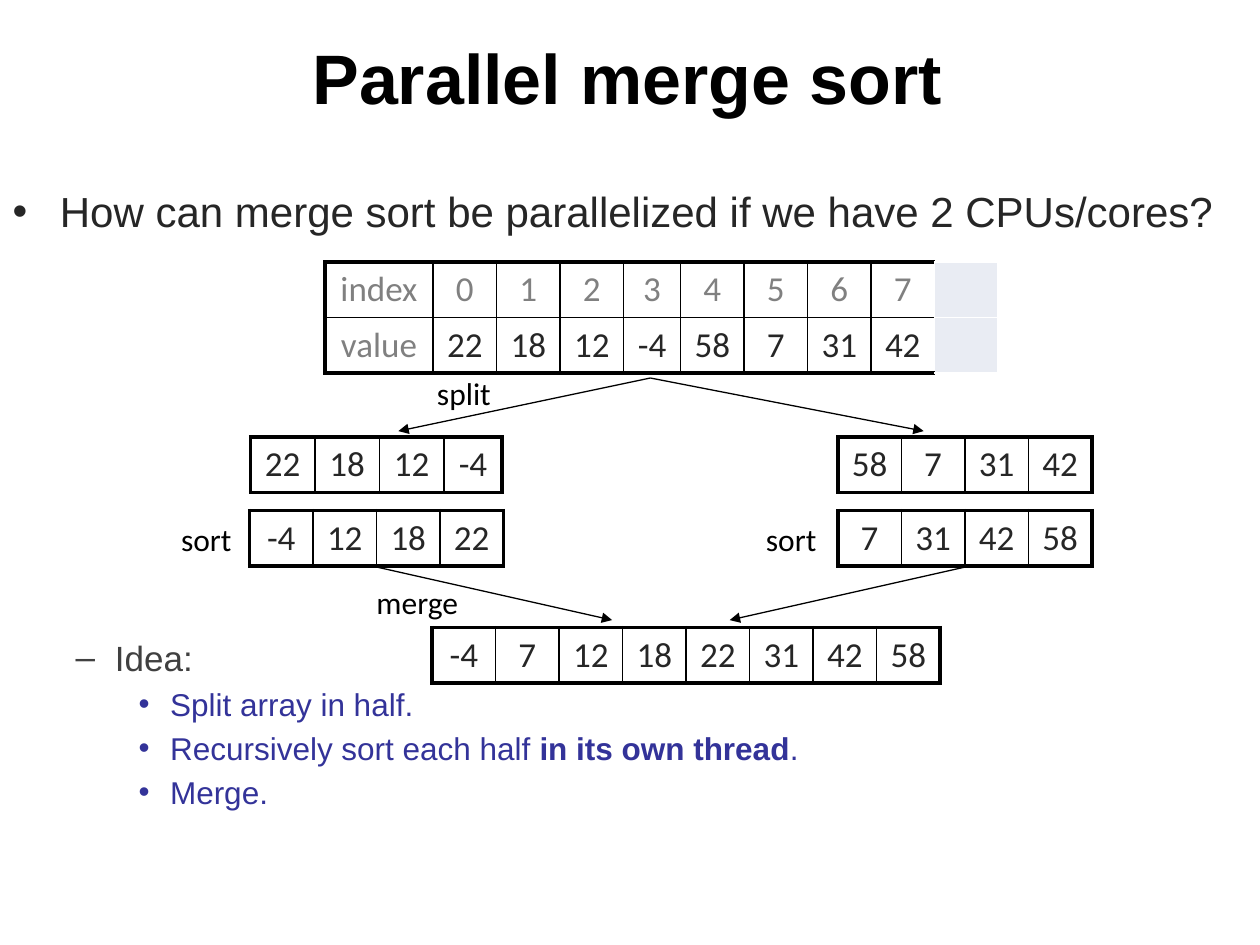
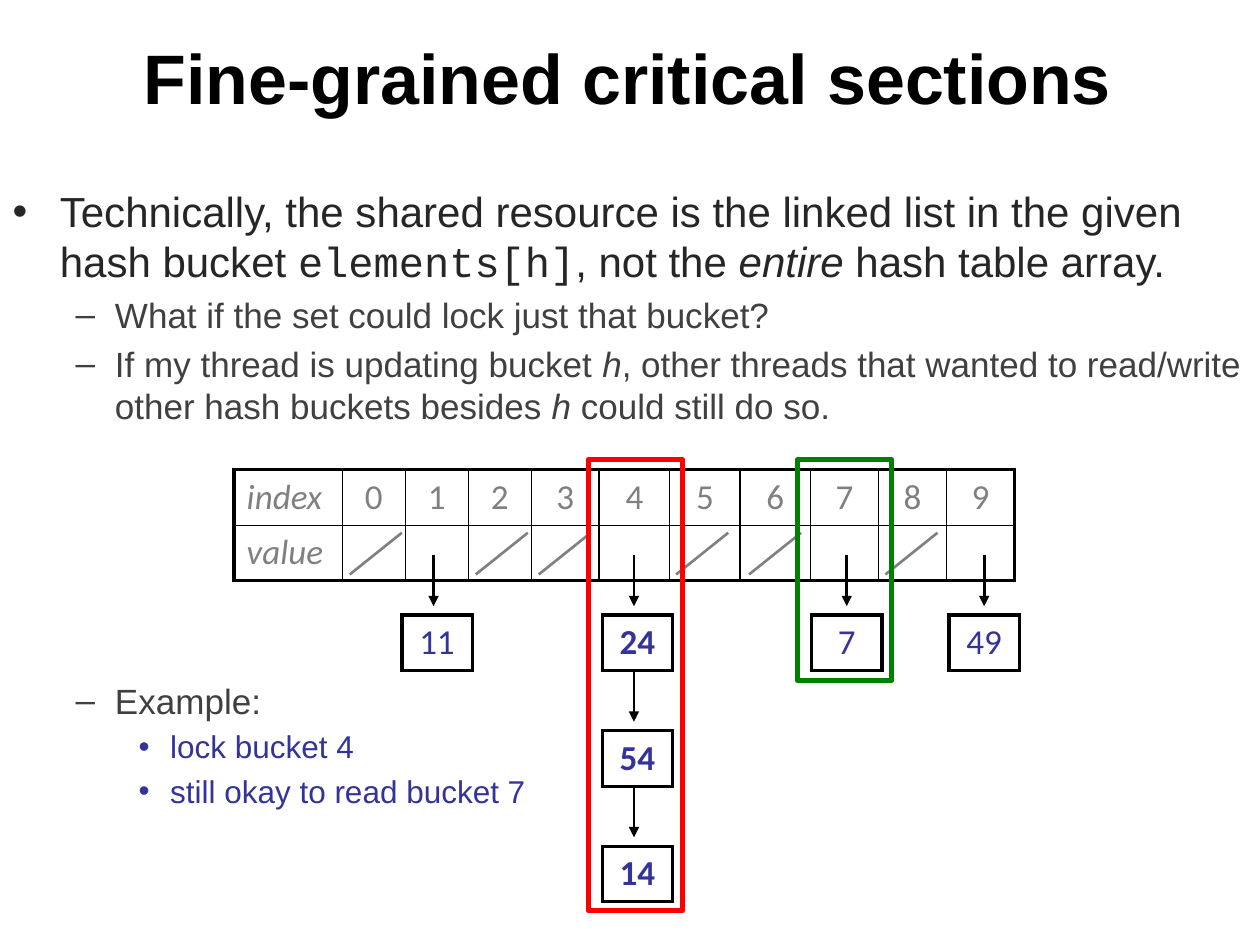
from pptx import Presentation
from pptx.dml.color import RGBColor
from pptx.enum import shapes, text as t
from pptx.oxml import ns, xmlchemy as xml
from pptx import util as u

BLACK = RGBColor(0x00, 0x00, 0x00)
INK = RGBColor(0x26, 0x26, 0x26)
DARK_GREY = RGBColor(0x40, 0x40, 0x40)
GREY = RGBColor(0x80, 0x80, 0x80)
INDIGO = RGBColor(0x33, 0x33, 0x99)
RED = RGBColor(0xFF, 0x00, 0x00)
GREEN = RGBColor(0x00, 0x80, 0x00)

LEVELS = [(24, INK), (20, DARK_GREY), (18, INDIGO)]
ROW_HEIGHT = 1.1
CELL = 1.28
HEADER = 2.18
THICK, THIN = 2.25, 1
ITALIC = {"italic": True}


def write(paragraph, text, size=20, color=BLACK, font="Arial", bold=False, italic=False):
    run = paragraph.add_run()
    run.text = text
    run.font.size = u.Pt(size)
    run.font.name = font
    run.font.bold = bold
    run.font.italic = italic
    run.font.color.rgb = color


def add_child(parent, tag, **attributes):
    child = xml.OxmlElement(tag)
    for name, value in attributes.items():
        child.set(name, str(value))
    parent.append(child)
    return child


merge_sort = {
    "title": "Parallel merge sort",
    "body": [
        (0, None, [("How can merge sort be parallelized if we have 2 CPUs/cores?", {})]),
        (1, 229, [("Idea:", {})]),
        (2, None, [("Split array in half.", {})]),
        (2, None, [("Recursively sort each half ", {}), ("in its own thread", {"bold": True}), (".", {})]),
        (2, None, [("Merge.", {})]),
    ],
    "tables": [
        (6.55, 5.28, [HEADER] + [CELL] * 4 + [1.15] + [CELL] * 4,
         ["index 0 1 2 3 4 5 6 7".split(), "value 22 18 12 -4 58 7 31 42".split()], INK, {}),
        (5.05, 8.81, [1.3] * 3 + [1.17], ["22 18 12 -4".split()], INK, {}),
        (16.89, 8.81, [CELL] * 4, ["58 7 31 42".split()], INK, {}),
        (5.03, 10.29, [CELL] * 4, ["-4 12 18 22".split()], INK, {}),
        (16.89, 10.29, [CELL] * 4, ["7 31 42 58".split()], INK, {}),
        (8.71, 12.65, [CELL] * 8, ["-4 7 12 18 22 31 42 58".split()], INK, {}),
    ],
    "lines": [
        (13.11, 7.62, 8.03, 8.69, BLACK, 0.75, True),
        (13.11, 7.62, 18.62, 8.69, BLACK, 0.75, True),
        (7.59, 11.43, 12.34, 12.5, BLACK, 0.75, True),
        (19.46, 11.43, 14.71, 12.5, BLACK, 0.75, True),
    ],
    "labels": [("split", 8.56, 7.42, 1.6), ("merge", 7.34, 11.63, 2.18),
               ("sort", 3.4, 10.36, 1.52), ("sort", 15.19, 10.36, 1.52)],
    "frames": [],
}
merge_sort["tables"][0][2].pop(5)
merge_sort["tables"][0][2].insert(4, 1.15)
merge_sort["tables"][0][2].pop(5)
merge_sort["tables"][0][2].append(CELL)

critical_sections = {
    "title": "Fine-grained critical sections",
    "body": [
        (0, None, [("Technically, the shared resource is the linked list in the given hash bucket ", {}),
                   ("elements[h]", {"font": "Courier New"}), (", not the ", {}),
                   ("entire", ITALIC), (" hash table array.", {})]),
        (1, None, [("What if the set could lock just that bucket?", {})]),
        (1, None, [("If my thread is updating bucket ", {}), ("h", ITALIC),
                   (", other threads that wanted to read/write other hash buckets besides ", {}),
                   ("h", ITALIC), (" could still do so.", {})]),
        (1, 144.5, [("Example:", {})]),
        (2, None, [("lock bucket 4", {})]),
        (2, None, [("still okay to read bucket 7", {})]),
    ],
    "tables": [
        (4.72, 9.47, [HEADER] + [1.27] * 3 + [1.37] + [1.42] * 3 + [1.37] * 3,
         ["index 0 1 2 3 4 5 6 7 8 9".split(), ["value"] + [""] * 10], INK, ITALIC),
    ],
    "lines": [(right, 10.74, right - 1.05, 11.58, GREY, 1.5, False)
              for right in (8.1, 10.64, 11.91, 14.68, 16.15, 18.9)],
    "labels": [],
    "frames": [(11.86, 9.27, 1.9, 9.09, RED), (16.08, 9.27, 1.9, 4.45, GREEN)],
}
buckets = [(8.1, 0.64, ["11"], {}), (12.14, 0.64, ["24", "54", "14"], {"bold": True}),
           (16.36, 0.71, ["7"], {}), (19.13, 0.71, ["49"], {})]
for left, arrow_offset, values, style in buckets:
    for depth, value in enumerate(values):
        top = 12.4 + 2.33 * depth
        arrow_x = left + arrow_offset
        critical_sections["tables"].append((left, top, [1.42], [[value]], INDIGO, style))
        critical_sections["lines"].append((arrow_x, top - 1.22, arrow_x, top - 0.18, BLACK, 1.5, True))

presentation = Presentation()
presentation.slide_width, presentation.slide_height = u.Cm(25.4), u.Cm(19.05)

for content in (merge_sort, critical_sections):
    slide = presentation.slides.add_slide(presentation.slide_layouts[1])
    title, body = slide.placeholders
    title.left, title.top, title.width, title.height = map(u.Cm, (0.48, 0.28, 24.33, 2.51))
    write(title.text_frame.paragraphs[0], content["title"], size=40, bold=True)

    body.left, body.top, body.width, body.height = map(u.Cm, (0, 3.61, 25.4, 15.44))
    body.text_frame.auto_size = t.MSO_AUTO_SIZE.NONE
    for number, (level, space_before, runs) in enumerate(content["body"]):
        paragraph = body.text_frame.add_paragraph() if number else body.text_frame.paragraphs[0]
        paragraph.level = level
        if space_before:
            paragraph.space_before = u.Pt(space_before)
        size, color = LEVELS[level]
        for text, style in runs:
            write(paragraph, text, size=size, color=color, **style)

    for left, top, widths, rows, ink, style in content["tables"]:
        last_row, last_column = len(rows) - 1, len(widths) - 1
        table = slide.shapes.add_table(
            len(rows), len(widths), u.Cm(left), u.Cm(top),
            u.Cm(sum(widths)), u.Cm(ROW_HEIGHT * len(rows))).table
        table.first_row = table.horz_banding = False
        for column, width in zip(table.columns, widths):
            column.width = u.Cm(width)
        for row, values in enumerate(rows):
            table.rows[row].height = u.Cm(ROW_HEIGHT)
            for column, value in enumerate(values):
                cell = table.cell(row, column)
                properties = cell._tc.get_or_add_tcPr()
                edges = {"a:lnL": column == 0, "a:lnR": column == last_column,
                         "a:lnT": row == 0, "a:lnB": row == last_row}
                for tag, is_outer in edges.items():
                    border = add_child(properties, tag, w=u.Pt(THICK if is_outer else THIN))
                    add_child(add_child(border, "a:solidFill"), "a:srgbClr", val=BLACK)
                cell.fill.background()
                is_name = value in ("index", "value")
                is_heading = last_row > 0 and (row == 0 or column == 0)
                paragraph = cell.text_frame.paragraphs[0]
                left_aligned = is_name and style == ITALIC
                paragraph.alignment = t.PP_ALIGN.LEFT if left_aligned else t.PP_ALIGN.CENTER
                if value:
                    write(paragraph, value, color=GREY if is_heading else ink, font="Calibri",
                          **(style if is_name or not is_heading else {}))

    for x1, y1, x2, y2, color, width, has_arrow in content["lines"]:
        connector = slide.shapes.add_connector(
            shapes.MSO_CONNECTOR.STRAIGHT, u.Cm(x1), u.Cm(y1), u.Cm(x2), u.Cm(y2))
        connector.line.color.rgb = color
        connector.line.width = u.Pt(width)
        properties = connector._element.spPr
        if has_arrow:
            add_child(properties.find(ns.qn("a:ln")), "a:tailEnd", type="triangle")
        add_child(properties, "a:effectLst")

    for text, left, top, width in content["labels"]:
        label = slide.shapes.add_textbox(u.Cm(left), u.Cm(top), u.Cm(width), u.Cm(1.02))
        label.text_frame.word_wrap = False
        write(label.text_frame.paragraphs[0], text, size=18, font="Calibri")

    for left, top, width, height, color in content["frames"]:
        frame = slide.shapes.add_shape(
            shapes.MSO_SHAPE.RECTANGLE, u.Cm(left), u.Cm(top), u.Cm(width), u.Cm(height))
        frame.shadow.inherit = False
        frame.fill.background()
        frame.line.color.rgb = color
        frame.line.width = u.Pt(3)

presentation.save("out.pptx")
